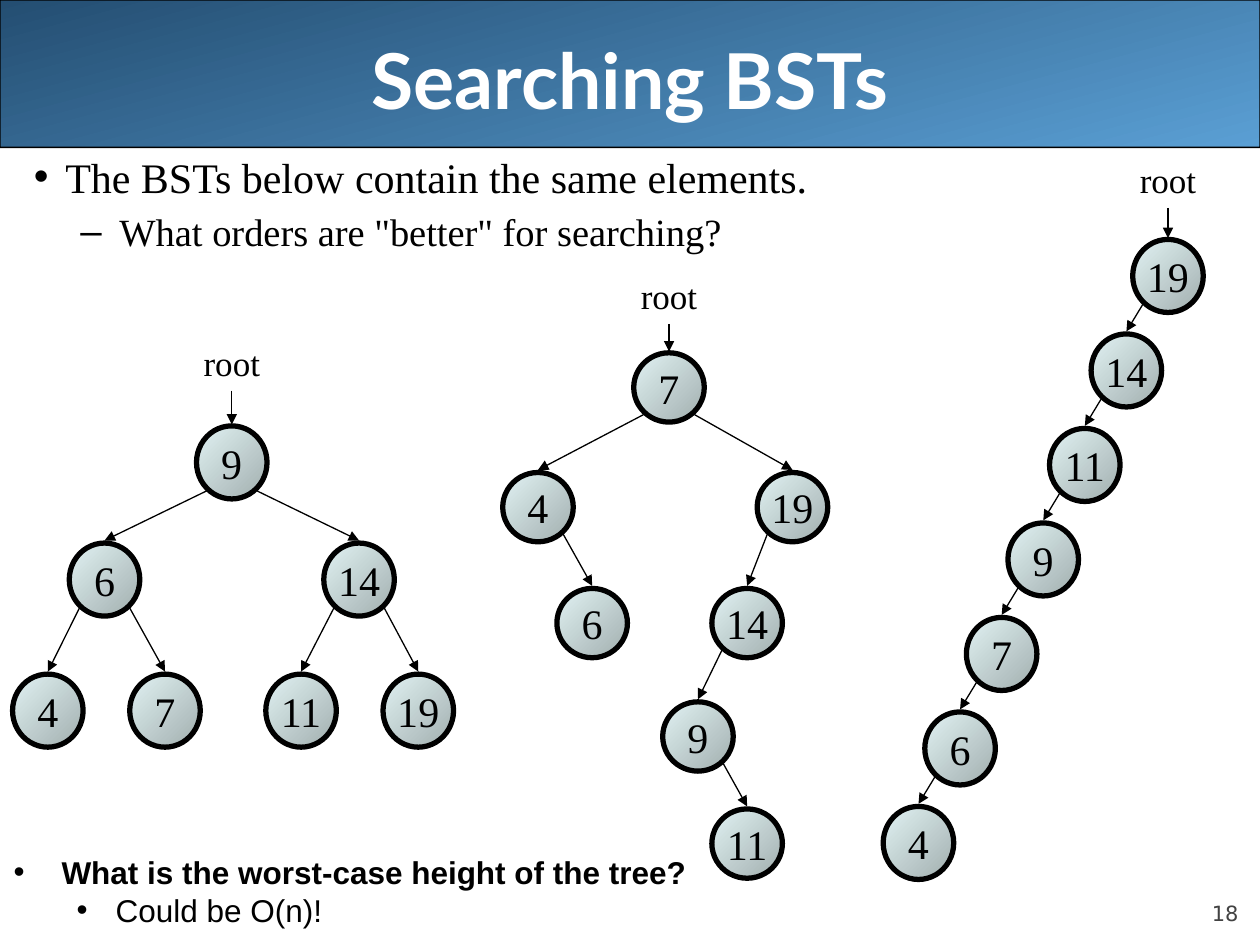
from lxml import etree
from pptx import Presentation
from pptx import util as u
from pptx.dml.color import RGBColor
from pptx.enum import shapes, text
from pptx.oxml import ns

INK = {"black": "000000", "white": "FFFFFF", "grey": "424242",
       "navy": "244E72", "sky": "5A9FD4", "pale": "E1F2F3", "steel": "A2AFAF"}
SERIF = "Times New Roman"
WIDE = 0.56  # node width

deck = Presentation()
deck.slide_width, deck.slide_height = u.Inches(10), u.Inches(7.5)
slide = deck.slides.add_slide(deck.slide_layouts[6])


def write(shape, words, size=24, font=SERIF, ink="black", bold=False, align="CENTER",
          anchor="TOP", wrap=True, level=0, bullet=None, left=0, hang=0, before=0):
    """Add a paragraph, filling the empty first one if there is one."""
    frame = shape.text_frame
    frame.word_wrap = wrap
    frame.vertical_anchor = text.MSO_ANCHOR[anchor]
    para = frame.add_paragraph() if frame.text else frame.paragraphs[0]
    para.alignment = text.PP_ALIGN[align]
    para.level = level
    para.space_before = u.Pt(before)
    run = para.add_run()
    run.text = words
    run.font.size, run.font.name, run.font.bold = u.Pt(size), font, bold
    run.font.color.rgb = RGBColor.from_string(INK[ink])
    if bullet:
        props = para._p.get_or_add_pPr()
        props.set("marL", str(u.Inches(left)))
        props.set("indent", str(-u.Inches(hang)))
        etree.SubElement(props, ns.qn("a:buFont")).set("typeface", "Arial")
        etree.SubElement(props, ns.qn("a:buChar")).set("char", bullet)


def draw(home, kind, box, shade=None, angle=0, width=0.75):
    """Add a shaded shape, or an arrow from box[:2] to box[2:] if kind is None."""
    spots = [u.Inches(n) for n in box]
    if kind is None:
        item = home.add_connector(shapes.MSO_CONNECTOR.STRAIGHT, *spots)
        etree.SubElement(item.line._get_or_add_ln(), ns.qn("a:tailEnd")).set("type", "triangle")
    else:
        item = home.add_shape(shapes.MSO_SHAPE[kind], *spots)
        item.shadow.inherit = False
        item.fill.gradient()
        item.fill.gradient_angle = 360 - angle
        for stop, name in zip(item.fill.gradient_stops, shade):
            stop.color.rgb = RGBColor.from_string(INK[name])
    item.line.color.rgb = RGBColor.from_string(INK["black"])
    item.line.width = u.Pt(width)
    if kind is None:
        etree.SubElement(item._element.spPr, ns.qn("a:effectLst"))
    return item


# Header, question and page number
band = draw(slide.shapes, "ROUNDED_RECTANGLE", (0, 0, 10, 1.17), ("navy", "sky"), 75)
band.adjustments[0] = 0.001

title, body, note, page = [
    slide.shapes.add_textbox(*[u.Inches(n) for n in box])
    for box in ((0.5, 0, 9, 1.25), (0.17, 1.15, 9.83, 1.07),
                (0.01, 6.72, 5.85, 0.71), (9, 6.95, 0.83, 0.4))]
write(title, "Searching BSTs", size=44, font="Lato", ink="white", bold=True, anchor="MIDDLE")
write(body, "The BSTs below contain the same elements.", align="LEFT",
      bullet="•", left=0.25, hang=0.25, before=5)
write(body, 'What orders are "better" for searching?', size=22, align="LEFT",
      level=1, bullet="–", left=0.68, hang=0.31, before=4)
write(note, "What is the worst-case height of the tree?", size=18, font="Arial",
      bold=True, align="LEFT", bullet="•", left=0.38, hang=0.38)
write(note, "Could be O(n)!", size=18, font="Arial", align="LEFT",
      level=1, bullet="•", left=0.81, hang=0.31)
frame = page.text_frame
frame.margin_left = frame.margin_right = frame.margin_top = frame.margin_bottom = 0
write(page, "18", size=12, font="DejaVu Sans", ink="grey", align="RIGHT", anchor="BOTTOM")

# Each tree: node height, top of the root label, {value: (left, top, parent)}
full = {9: (1.56, 3.38, None), 6: (0.55, 4.31, 9), 14: (2.57, 4.31, 9),
        4: (0.1, 5.35, 6), 7: (1.03, 5.35, 6),
        11: (2.11, 5.35, 14), 19: (3.04, 5.35, 14)}
mixed = {7: (5.03, 2.8, None), 4: (3.99, 3.75, 7), 19: (6.01, 3.75, 7),
         6: (4.42, 4.67, 4), 14: (5.65, 4.67, 19),
         9: (5.26, 5.57, 14), 11: (5.65, 6.42, 9)}
order = [19, 14, 11, 9, 7, 6, 4]
chain = {value: (8.99 - 0.33 * i, 1.9 + 0.75 * i, order[i - 1] if i else None)
         for i, value in enumerate(order)}

for high, label, nodes in ((0.58, 2.66, full), (0.55, 2.13, mixed), (0.58, 1.21, chain)):
    tree = slide.shapes.add_group_shape().shapes
    for value, (left, top, parent) in nodes.items():
        mid = left + WIDE / 2
        node = draw(tree, "OVAL", (left, top, WIDE, high), ("pale", "steel"), 45, 3)
        write(node, str(value), anchor="MIDDLE", wrap=False)
        if parent is None:
            root = tree.add_textbox(u.Inches(mid - 0.4), u.Inches(label),
                                    u.Inches(0.8), u.Inches(0.44))
            write(root, "root", size=20)
            draw(tree, None, (mid, label + 0.44, mid, top - 0.01))
        else:
            over, above = nodes[parent][:2]
            side = -0.2 if left < over else 0.2
            draw(tree, None, (over + WIDE / 2 + side, above + 0.89 * high, mid, top - 0.02))

deck.save("out.pptx")
